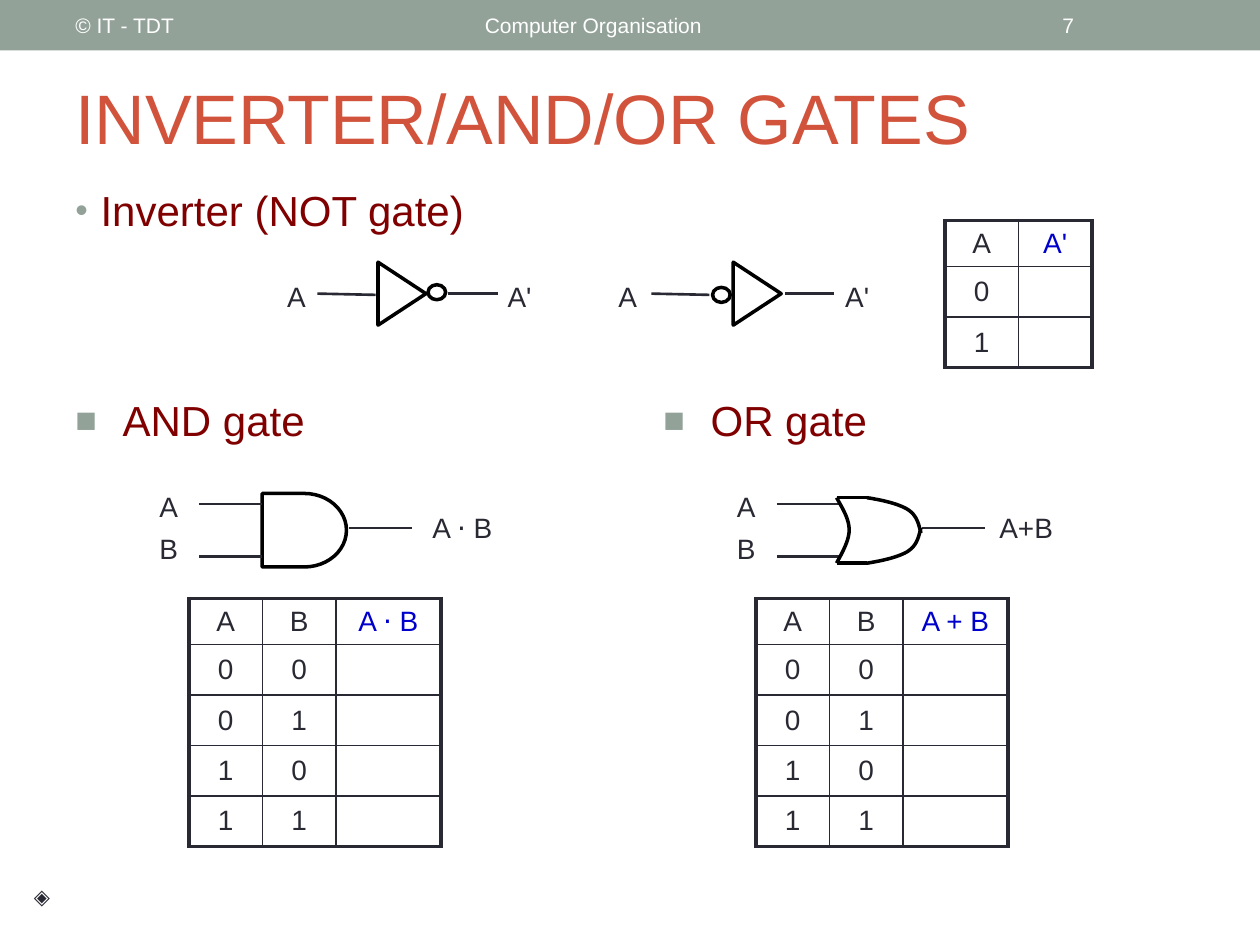
"""Build a slide on the inverter, AND and OR gates with their truth tables."""
from dataclasses import dataclass
from itertools import product

from lxml.etree import SubElement
from pptx import Presentation
from pptx.dml.color import RGBColor
from pptx.enum.shapes import MSO_CONNECTOR, MSO_SHAPE
from pptx.enum.text import MSO_ANCHOR, PP_ALIGN
from pptx.oxml import parse_xml
from pptx.oxml.ns import nsdecls, qn
from pptx.util import Pt


@dataclass(frozen=True)
class Theme:
    font: str = "Arial"
    bar: str = "93A299"
    white: str = "FFFFFF"
    title: str = "D2533C"
    heading: str = "800000"
    ink: str = "292934"
    output: str = "0000CC"
    gate: str = "000000"
    small: float = 12
    label: float = 16
    heading_size: float = 24
    title_size: float = 40
    gate_line: float = 2
    wire_line: float = 1.5
    outer_border: float = 2.25
    inner_border: float = 1


theme = Theme()


def add_run(paragraph, text, size, color):
    run = paragraph.add_run()
    run.text = text
    run.font.name = theme.font
    run.font.size = Pt(size)
    run.font.color.rgb = RGBColor.from_string(color)


def add_text(box, lines, size, color, align=PP_ALIGN.LEFT, anchor=MSO_ANCHOR.TOP, inset=(7.2, 3.6)):
    frame = slide.shapes.add_textbox(*map(Pt, box)).text_frame
    frame.word_wrap = True
    frame.vertical_anchor = anchor
    frame.margin_left = frame.margin_right = Pt(inset[0])
    frame.margin_top = frame.margin_bottom = Pt(inset[1])
    for index, line in enumerate(lines):
        paragraph = frame.add_paragraph() if index else frame.paragraphs[0]
        paragraph.alignment = align
        paragraph.space_before = Pt(4.8 if index else 0)
        add_run(paragraph, line, size, color)
    return frame


presentation = Presentation()
presentation.slide_width, presentation.slide_height = Pt(720), Pt(540)
slide = presentation.slides.add_slide(presentation.slide_layouts[6])

bar = slide.shapes.add_shape(MSO_SHAPE.RECTANGLE, 0, 0, Pt(720), Pt(28.8))
bar.shadow.inherit = False
bar.fill.solid()
bar.fill.fore_color.rgb = RGBColor.from_string(theme.bar)
bar.line.fill.background()

for left, width, text in [(36, 228, "© IT - TDT"), (270, 324, "Computer Organisation"), (600, 84, "7")]:
    add_text((left, 1.4, width, 26), [text], theme.small, theme.white, anchor=MSO_ANCHOR.MIDDLE)

add_text((36, 21.6, 648, 90), ["INVERTER/AND/OR GATES"], theme.title_size, theme.title, anchor=MSO_ANCHOR.MIDDLE)

headings = [
    (36, 102.2, 318, "•", 14.4, "Inverter (NOT gate)"),
    (36, 222, 222, "■", 27, "AND gate"),
    (372, 222, 222, "■", 27, "OR gate"),
]
for left, top, width, bullet, indent, text in headings:
    frame = add_text((left, top, width, 36), [text], theme.heading_size, theme.heading)
    properties = frame.paragraphs[0]._p.get_or_add_pPr()
    properties.set("marL", str(Pt(indent)))
    properties.set("indent", str(-Pt(indent)))
    bullet_color = SubElement(properties, qn("a:buClr"))
    SubElement(bullet_color, qn("a:srgbClr"), val=theme.bar)
    SubElement(properties, qn("a:buSzPct"), val="85000")
    SubElement(properties, qn("a:buFont"), typeface=theme.font)
    SubElement(properties, qn("a:buChar"), char=bullet)

gate_shapes = [
    (MSO_SHAPE.FLOWCHART_MERGE, 211.7, 154.1, 36, 27.4, 270),
    (MSO_SHAPE.OVAL, 244.6, 162.7, 10.1, 8.6, 0),
    (MSO_SHAPE.FLOWCHART_MERGE, 414.7, 154.1, 36, 27.4, 270),
    (MSO_SHAPE.OVAL, 407.2, 164.2, 10.1, 8.6, 0),
    (MSO_SHAPE.FLOWCHART_DELAY, 149.8, 282, 48.2, 42, 0),
]
for kind, left, top, width, height, rotation in gate_shapes:
    shape = slide.shapes.add_shape(kind, Pt(left), Pt(top), Pt(width), Pt(height))
    shape.rotation = rotation
    shape.shadow.inherit = False
    shape.fill.background()
    shape.line.color.rgb = RGBColor.from_string(theme.gate)
    shape.line.width = Pt(theme.gate_line)

wire = (theme.ink, theme.wire_line)
edge = (theme.gate, theme.gate_line)
lines = [
    (181.4, 167.8, 214.6, 168.5, wire),
    (256.3, 167.8, 284.4, 167.8, wire),
    (372.2, 167.8, 405.4, 168.5, wire),
    (448.6, 167.8, 476.6, 167.8, wire),
    (114, 288, 150, 288, wire),
    (114, 318, 150, 318, wire),
    (199.4, 301.7, 235.4, 301.7, wire),
    (444, 288, 480, 288, wire),
    (444, 318, 480, 318, wire),
    (527, 301.7, 563, 301.7, wire),
    (478.1, 284.4, 495.4, 284.4, edge),
    (478.1, 321.8, 495.4, 321.8, edge),
]
for *ends, (color, width) in lines:
    connector = slide.shapes.add_connector(MSO_CONNECTOR.STRAIGHT, *map(Pt, ends))
    connector.line.color.rgb = RGBColor.from_string(color)
    connector.line.width = Pt(width)
    SubElement(connector._element.spPr, qn("a:effectLst"))

or_back = [
    [(478.1, 284.4), (481.7, 290.9), (485.3, 296.6), (485.3, 303.1)],
    [(485.3, 303.1), (485.3, 309.6), (479.5, 319), (478.1, 321.8)],
]
or_top = [
    [(495.4, 284.4), (504.7, 285.8), (513.4, 288), (518.4, 290.9)],
    [(518.4, 290.9), (524.2, 294.5), (524.9, 299.5), (526.3, 304.6)],
]
or_bottom = [[(x, 606.2 - y) for x, y in segment] for segment in or_top]
steps = 12
for curve in (or_back, or_top, or_bottom):
    points = []
    for segment in curve:
        for step in range(steps + 1):
            t = step / steps
            weights = ((1 - t) ** 3, 3 * t * (1 - t) ** 2, 3 * t * t * (1 - t), t ** 3)
            points.append(tuple(Pt(sum(w * p[axis] for w, p in zip(weights, segment))) for axis in (0, 1)))
    builder = slide.shapes.build_freeform(*points[0])
    builder.add_line_segments(points[1:], close=False)
    outline = builder.convert_to_shape()
    outline.shadow.inherit = False
    outline.fill.background()
    outline.line.color.rgb = RGBColor.from_string(theme.gate)
    outline.line.width = Pt(theme.gate_line)

labels = [
    (157, 156.2, 23.8, ["A"], PP_ALIGN.RIGHT),
    (283, 156.2, 30.2, ["A'"], PP_ALIGN.LEFT),
    (346.3, 156.2, 23.8, ["A"], PP_ALIGN.RIGHT),
    (475.9, 156.2, 30.2, ["A'"], PP_ALIGN.LEFT),
    (84, 276, 23.8, ["A", "B"], PP_ALIGN.RIGHT),
    (240, 288, 60, ["A ⋅ B"], PP_ALIGN.LEFT),
    (414, 276, 23.8, ["A", "B"], PP_ALIGN.RIGHT),
    (564, 288, 48, ["A+B"], PP_ALIGN.LEFT),
]
for left, top, width, texts, align in labels:
    add_text((left, top, width, 26.6 * len(texts)), texts, theme.label, theme.ink, align)

truth_tables = [
    (540, 126, ["A"], "A'", 42),
    (108, 342, ["A", "B"], "A ⋅ B", 60),
    (432, 342, ["A", "B"], "A + B", 60),
]
for left, top, inputs, output, output_width in truth_tables:
    rows = [[*inputs, output]] + [[*values, ""] for values in product("01", repeat=len(inputs))]
    widths = [42] * len(inputs) + [output_width]
    heights = [26.4] + [28.8] * (len(rows) - 1)
    table = slide.shapes.add_table(
        len(rows), len(widths), Pt(left), Pt(top), Pt(sum(widths)), Pt(sum(heights))).table
    table.first_row = table.horz_banding = False
    for column, width in zip(table.columns, widths):
        column.width = Pt(width)
    for row, height in zip(table.rows, heights):
        row.height = Pt(height)
    for r, texts in enumerate(rows):
        for c, text in enumerate(texts):
            cell = table.cell(r, c)
            outer_sides = {"L": c == 0, "R": c == len(inputs), "T": r == 0, "B": r == len(rows) - 1}
            for side, is_outer in outer_sides.items():
                width = Pt(theme.outer_border if is_outer else theme.inner_border)
                cell._tc.get_or_add_tcPr().append(parse_xml(
                    f'<a:ln{side} {nsdecls("a")} w="{width}"><a:solidFill>'
                    f'<a:srgbClr val="{theme.ink}"/></a:solidFill></a:ln{side}>'))
            cell.fill.background()
            cell.vertical_anchor = MSO_ANCHOR.MIDDLE
            if text:
                paragraph = cell.text_frame.paragraphs[0]
                paragraph.alignment = PP_ALIGN.CENTER
                add_run(paragraph, text, theme.label, theme.output if text == output else theme.ink)

add_text((12, 504, 24, 15.8), ["◈"], theme.small, theme.ink, PP_ALIGN.CENTER, inset=(0.72, 0.72))

presentation.save("out.pptx")
